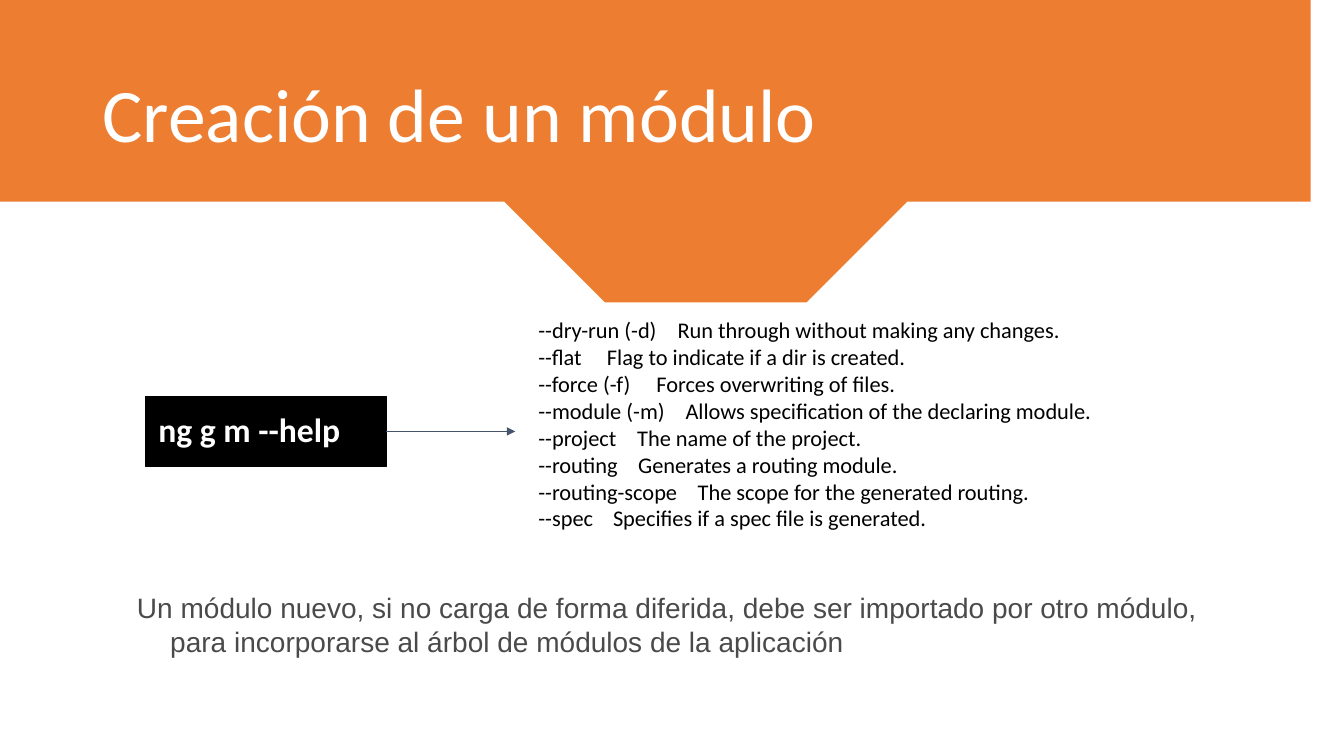
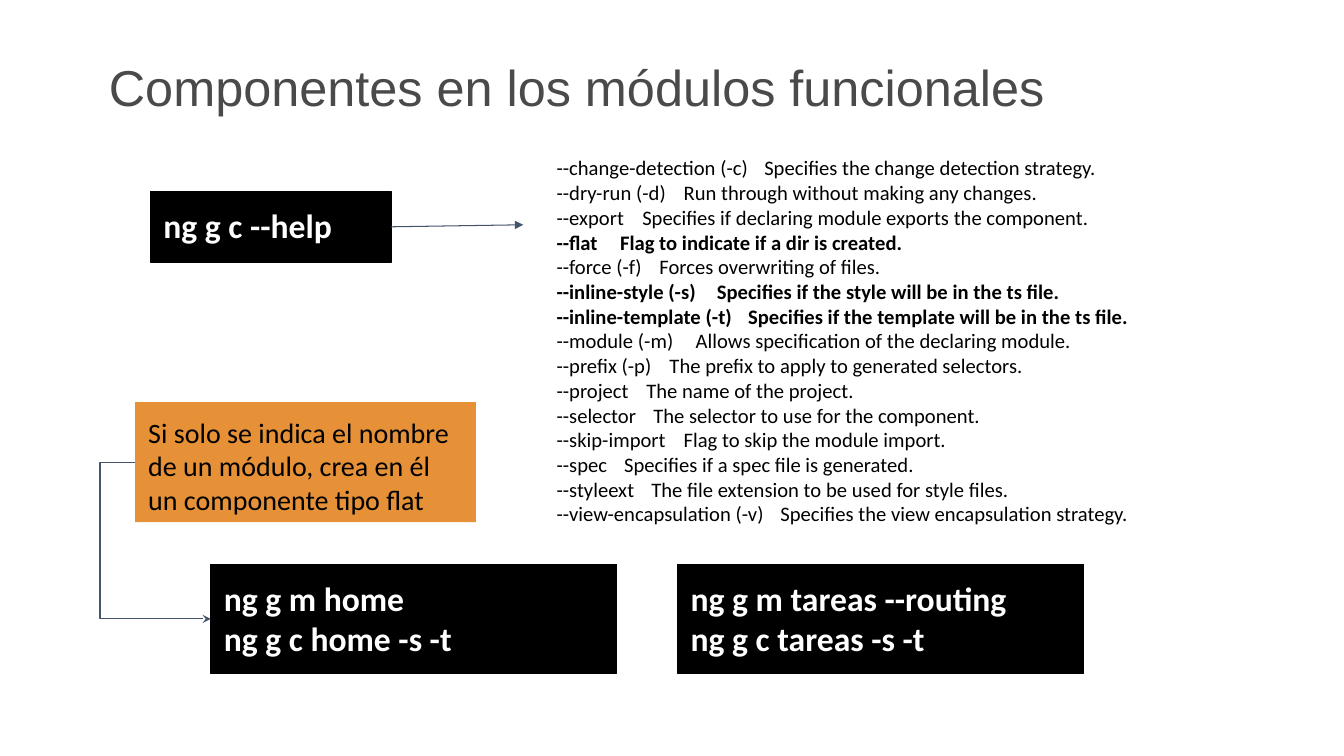
from lxml.etree import SubElement
from pptx import Presentation
from pptx.dml.color import RGBColor
from pptx.enum.shapes import MSO_CONNECTOR, MSO_SHAPE
from pptx.enum.text import MSO_ANCHOR, PP_ALIGN
from pptx.oxml.ns import qn
from pptx.util import Inches, Pt

ORANGE, AMBER, BLACK, WHITE = "ED7D31", "E69138", "000000", "FFFFFF"
GRAY, NAVY = "4A4A4A", "44546A"
SANS, BODY = "Arial", "Calibri"
PAD = (0.13, 0.13, 0.13, 0.13)

# Outline of the header band, in inches from its corner
CURVE = [
    # right edge with its slot
    (13.33, 0), (13.33, 1.9), (13.09, 1.95), (12.47, 2.06), (11.84, 2.17),
    (11.75, 2.18), (12.66, 2.1), (13.33, 2.02), (13.33, 2.09),
    # lower edge, right to left
    (12.66, 2.16), (11.62, 2.25), (10.72, 2.32), (10.11, 2.38), (9.55, 2.43),
    (8.82, 2.48), (8.37, 2.51), (7.14, 2.54), (6.76, 2.57), (6.54, 2.56),
    (5.87, 2.55), (4.8, 2.5), (4.2, 2.47), (3.36, 2.41), (2.76, 2.35),
    (2.04, 2.28), (1.36, 2.19), (0.65, 2.09), (0, 1.98),
    # left slot, out and back
    (0, 1.92), (0.54, 2.02), (1.04, 2.09), (1.66, 2.17), (2.26, 2.25),
    (2.82, 2.3), (3.55, 2.37), (4.24, 2.41), (5.04, 2.45), (4.57, 2.42),
    (4.03, 2.38), (3.56, 2.34), (3.07, 2.29), (2.56, 2.24), (1.92, 2.17),
    (1.11, 2.06), (0.65, 1.99), (0, 1.88),
]

# Option, tab stop in inches, meaning, and whether it stands out
MODULE = [
    ("--dry-run (-d)", 1.38, "Run through without making any changes.", False),
    ("--flat", 0.68, "Flag to indicate if a dir is created.", False),
    ("--force (-f)", 1.17, "Forces overwriting of files.", False),
    ("--module (-m)", 1.46,
     "Allows specification of the declaring module.", False),
    ("--project", 0.98, "The name of the project.", False),
    ("--routing", 0.99, "Generates a routing module.", False),
    ("--routing-scope", 1.58, "The scope for the generated routing.", False),
    ("--spec", 0.74, "Specifies if a spec file is generated.", False),
]
PART = [
    ("--change-detection (-c)", 2.06,
     "Specifies the change detection strategy.", False),
    ("--dry-run (-d)", 1.26, "Run through without making any changes.", False),
    ("--export", 0.85,
     "Specifies if declaring module exports the component.", False),
    ("--flat", 0.63, "Flag to indicate if a dir is created.", True),
    ("--force (-f)", 1.02, "Forces overwriting of files.", False),
    ("--inline-style (-s)", 1.59,
     "Specifies if the style will be in the ts file.", True),
    ("--inline-template (-t)", 1.9,
     "Specifies if the template will be in the ts file.", True),
    ("--module (-m)", 1.38,
     "Allows specification of the declaring module.", False),
    ("--prefix (-p)", 1.12,
     "The prefix to apply to generated selectors.", False),
    ("--project", 0.89, "The name of the project.", False),
    ("--selector", 0.96, "The selector to use for the component.", False),
    ("--skip-import", 1.26, "Flag to skip the module import.", False),
    ("--spec", 0.67, "Specifies if a spec file is generated.", False),
    ("--styleext", 0.94,
     "The file extension to be used for style files.", False),
    ("--view-encapsulation (-v)", 2.22,
     "Specifies the view encapsulation strategy.", False),
]


def tint(code):
    return RGBColor.from_string(code)


def write(shape, lines, size=20, color=BLACK, font=BODY, bold=False,
          inset=PAD, anchor=MSO_ANCHOR.TOP, lead=None):
    """Fill a shape with one paragraph for each line."""
    frame = shape.text_frame
    frame.word_wrap = True
    frame.vertical_anchor = anchor
    (frame.margin_left, frame.margin_top,
     frame.margin_right, frame.margin_bottom) = [Inches(n) for n in inset]
    for i, line in enumerate(lines):
        para = frame.add_paragraph() if i else frame.paragraphs[0]
        para.alignment = PP_ALIGN.LEFT
        if lead:
            para.line_spacing = lead
        run = para.add_run()
        run.text = line
        run.font.size, run.font.bold = Pt(size), bold
        run.font.name = font
        run.font.color.rgb = tint(color)
    return shape


def label(slide, box, lines, **form):
    shape = slide.shapes.add_textbox(*[Inches(n) for n in box])
    return write(shape, lines, **form)


def panel(slide, box, lines, fill=BLACK, edge=None, **form):
    shape = slide.shapes.add_shape(
        MSO_SHAPE.RECTANGLE, *[Inches(n) for n in box])
    shape.shadow.inherit = False
    shape.fill.solid()
    shape.fill.fore_color.rgb = tint(fill)
    if edge:
        shape.line.color.rgb = tint(edge)
        shape.line.width = Pt(0.75)
    else:
        shape.line.fill.background()
    return write(shape, lines, **form)


def shell(slide, box, *lines):
    """Black box with terminal commands."""
    return panel(slide, box, lines, edge=BLACK, size=24, color=WHITE, bold=True)


def options(slide, box, rows, **form):
    """Option list whose meanings start at a tab stop of their own."""
    lines = [f"{flag}\t{text}" for flag, _, text, _ in rows]
    shape = label(slide, box, lines, inset=(0.23, 0.13, 0.13, 0.13), **form)
    for para, (_, stop, _, strong) in zip(shape.text_frame.paragraphs, rows):
        tabs = SubElement(para._p.get_or_add_pPr(), qn("a:tabLst"))
        SubElement(tabs, qn("a:tab"), pos=str(Inches(stop)), algn="l")
        para.runs[0].font.bold = strong
    return shape


def arrow(slide, start, end, head="triangle", kind=MSO_CONNECTOR.STRAIGHT):
    line = slide.shapes.add_connector(
        kind, *[Inches(n) for n in (*start, *end)])
    line.line.color.rgb = tint(NAVY)
    line.line.width = Pt(0.75)
    SubElement(line.line._get_or_add_ln(), qn("a:tailEnd"), type=head)
    SubElement(line._element.spPr, qn("a:effectLst"))
    return line


def elbow(slide, start, end, bend):
    """Bent arrow; bend is the turning point as a share of its width."""
    line = arrow(slide, start, end, "stealth", MSO_CONNECTOR.ELBOW)
    shape = line._element.spPr.find(qn("a:prstGeom"))
    guides = shape.find(qn("a:avLst"))
    if guides is None:
        guides = SubElement(shape, qn("a:avLst"))
    SubElement(guides, qn("a:gd"), name="adj1",
               fmla=f"val {round(bend * 100000)}")
    return line


def header(slide, box, title):
    """Curved band with a white title."""
    left, top, width, _ = box
    pen = slide.shapes.build_freeform(0, 0, scale=Inches(1))
    pen.add_line_segments(CURVE)
    band = pen.convert_to_shape(Inches(left), Inches(top))
    band.shadow.inherit = False
    band.fill.solid()
    band.fill.fore_color.rgb = tint(ORANGE)
    band.line.fill.background()
    label(slide, (left + 0.92, top + 0.44, width - 1.83, 1.47), [title],
          size=54, color=WHITE, inset=(0.1, 0.05, 0.1, 0.05),
          anchor=MSO_ANCHOR.MIDDLE, lead=0.9)


def note(slide, box, text):
    """Gray remark with a hanging indent."""
    shape = label(slide, box, [text], color=GRAY, font=SANS,
                  inset=(0.1, 0.05, 0.1, 0.05))
    props = shape.text_frame.paragraphs[0]._p.get_or_add_pPr()
    props.set("marL", str(Inches(0.67)))
    props.set("indent", str(Inches(-0.33)))


def create(slide, box):
    """Slide on creating a module."""
    x, y, width, _ = box
    header(slide, (x, y, width, 2.57), "Creación de un módulo")
    note(slide, (x + 0.92, y + 5.81, 11.5, 0.94),
         "Un módulo nuevo, si no carga de forma diferida, debe ser importado "
         "por otro módulo, para incorporarse al árbol de módulos de la "
         "aplicación")
    code = shell(slide, (x + 1.44, y + 3.93, 2.39, 0.7), "ng g m --help")
    flags = options(slide, (x + 5.11, y + 3.01, 6.38, 2.54), MODULE, size=16)
    link = arrow(slide, (x + 3.83, y + 4.28), (x + 5.11, y + 4.28))
    link.begin_connect(code, 3)
    link.end_connect(flags, 1)


def compose(slide, box):
    """Slide on components inside modules."""
    x, y = box[:2]
    label(slide, (x + 1.01, y + 0.49, 11.43, 0.79),
          ["Componentes en los módulos funcionales"], size=36, color=GRAY,
          font=SANS, inset=(0.07, 0.07, 0.07, 0.07))
    # Help command and its options
    code = shell(slide, (x + 1.49, y + 1.9, 2.39, 0.7), "ng g c --help")
    options(slide, (x + 5.29, y + 1.28, 7.15, 4.2), PART, size=14.7,
            anchor=MSO_ANCHOR.MIDDLE)
    link = arrow(slide, (x + 3.88, y + 2.25), (x + 5.19, y + 2.23))
    link.begin_connect(code, 3)
    # Example commands
    pairs = [("ng g m home", "ng g c home -s -t"),
             ("ng g m tareas --routing", "ng g c tareas -s -t")]
    for i, pair in enumerate(pairs):
        shell(slide, (x + 2.09 + i * 4.63, y + 5.6, 4.03, 1.08), *pair)
    # Remark that leads to the first example
    panel(slide, (x + 1.34, y + 3.99, 3.38, 1.19),
          ["Si solo se indica el nombre de un módulo, crea en él "
           "un componente tipo flat"], fill=AMBER)
    elbow(slide, (x + 1.34, y + 4.59), (x + 2.09, y + 6.14), -0.465)


def main():
    deck = Presentation()
    deck.slide_width, deck.slide_height = Inches(13.33), Inches(7.5)
    for build in (create, compose):
        build(deck.slides.add_slide(deck.slide_layouts[6]), (0, 0, 13.33, 7.5))
    deck.save("out.pptx")


if __name__ == "__main__":
    main()
